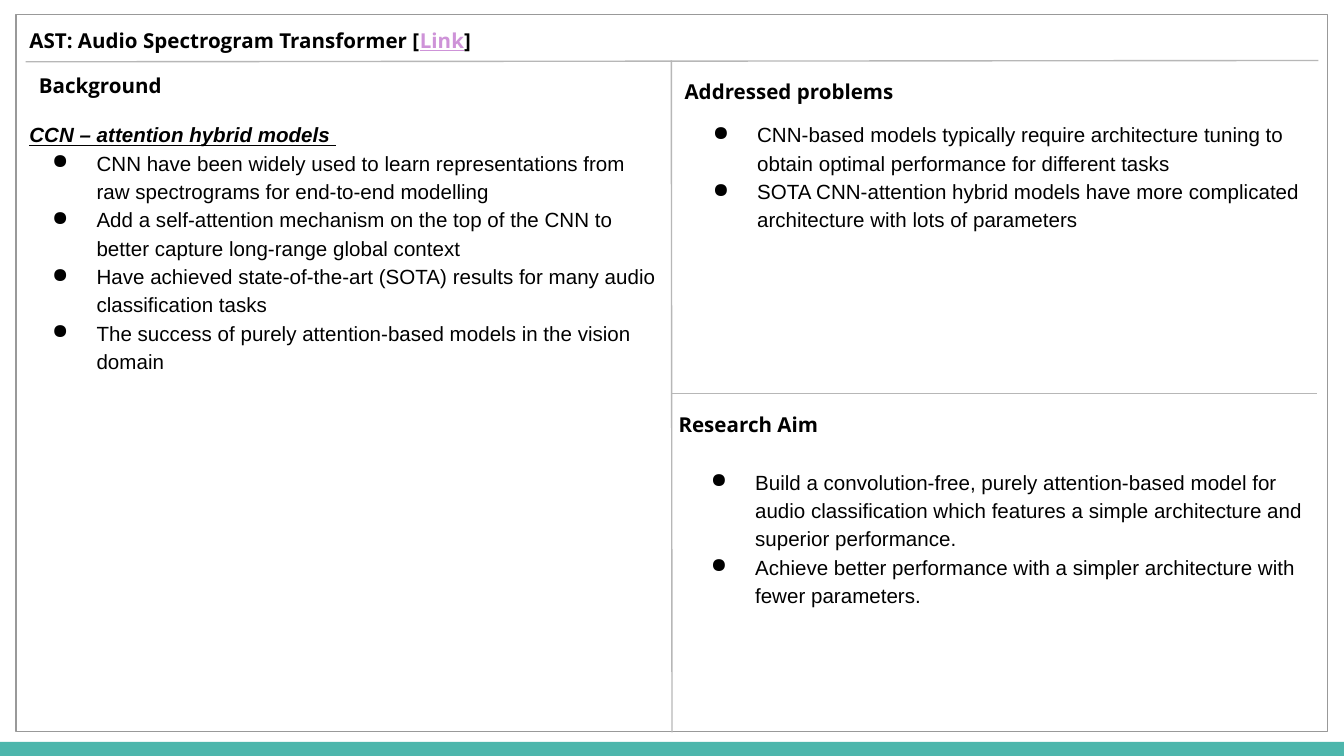
"""Build a one-page paper summary: background, addressed problems and research aim."""
from typing import NamedTuple

from lxml import etree
from pptx import Presentation, util as u
from pptx.dml.color import RGBColor
from pptx.enum import shapes, text
from pptx.oxml.ns import qn

WIDTH = u.Inches(10)
HEIGHT = WIDTH * 9 // 16
COLUMNS = 100
CELL = WIDTH / COLUMNS
ROWS = HEIGHT / CELL
MIDDLE = 49.95
HEADING_SIZE = (48.1, 2.7)
BODY_WIDTH = 49.2
TEXT_SIZE = u.Pt(11)
BLACK, LINK, TEAL, FRAME, RULE = "000000", "CE93D8", "4DB6AC", "999999", "B7B7B7"


class Area(NamedTuple):
    left: float
    top: float
    width: float
    height: float


class Rule(NamedTuple):
    start: tuple[float, float]
    end: tuple[float, float]


class Heading(NamedTuple):
    area: Area
    words: str
    link: str = ""
    tail: str = ""


class Body(NamedTuple):
    area: Area
    bullets: list[str]
    lead: str = ""


RULES = [
    Rule((1.9, 4.6), (98.1, 4.5)),
    Rule((MIDDLE, 4.5), (50, 54.5)),
    Rule((MIDDLE, 29.3), (98, 29.3)),
]

HEADINGS = [
    Heading(Area(1.2, 1.15, 79.1, 2.7), "AST: Audio Spectrogram Transformer [", "Link", "]"),
    Heading(Area(1.9, 4.5, *HEADING_SIZE), "Background"),
    Heading(Area(MIDDLE, 4.95, *HEADING_SIZE), "Addressed problems"),
    Heading(Area(49.5, 29.7, *HEADING_SIZE), "Research Aim"),
]

BODIES = [
    Body(Area(1.2, 7.83, BODY_WIDTH, 46.5), [
        "CNN have been widely used to learn representations from raw spectrograms "
        "for end-to-end modelling",
        "Add a self-attention mechanism on the top of the CNN to better capture "
        "long-range global context",
        "Have achieved state-of-the-art (SOTA) results for many audio classification tasks",
        "The success of purely attention-based models in the vision domain",
    ], lead="CCN – attention hybrid models "),
    Body(Area(50.35, 7.83, BODY_WIDTH, 12.4), [
        "CNN-based models typically require architecture tuning to obtain optimal "
        "performance for different tasks",
        "SOTA CNN-attention hybrid models have more complicated architecture with "
        "lots of parameters",
    ]),
    Body(Area(50.2, 33.67, BODY_WIDTH, 19.5), [
        "Build a convolution-free, purely attention-based model for audio classification "
        "which features a simple architecture and superior performance.",
        "Achieve better performance with a simpler architecture with fewer parameters.",
    ]),
]


def grid(*cells: float) -> list[int]:
    """Turn grid cells into slide lengths."""
    return [round(cell * CELL) for cell in cells]


def colour(value: str) -> RGBColor:
    """Turn a hex string into a colour."""
    return RGBColor.from_string(value)


def add_rectangle(page, area: Area, fill: str = "", line: str = "") -> None:
    """Draw a rectangle with an optional fill and outline."""
    box = page.shapes.add_shape(shapes.MSO_SHAPE.RECTANGLE, *grid(*area))
    box.shadow.inherit = False
    if fill:
        box.fill.solid()
        box.fill.fore_color.rgb = colour(fill)
    else:
        box.fill.background()
    if line:
        box.line.color.rgb = colour(line)
        box.line.width = u.Pt(0.75)
    else:
        box.line.fill.background()


def add_rule(page, rule: Rule) -> None:
    """Draw a thin dividing line."""
    line = page.shapes.add_connector(
        shapes.MSO_CONNECTOR.STRAIGHT, *grid(*rule.start, *rule.end))
    line.line.color.rgb = colour(RULE)
    line.line.width = u.Pt(0.75)
    etree.SubElement(line._element.spPr, qn("a:effectLst"))


def add_frame(page, area: Area):
    """Add an empty text box and return its wrapped text frame."""
    frame = page.shapes.add_textbox(*grid(*area)).text_frame
    frame.word_wrap = True
    frame.vertical_anchor = text.MSO_ANCHOR.TOP
    frame.margin_left = frame.margin_top = u.Inches(0.1)
    frame.margin_right = frame.margin_bottom = u.Inches(0.1)
    return frame


def set_font(para, name: str, bold: bool = False) -> None:
    """Set the shared font of a paragraph."""
    para.font.name = name
    para.font.size = TEXT_SIZE
    para.font.bold = bold
    para.font.color.rgb = colour(BLACK)


def add_heading(page, heading: Heading) -> None:
    """Write a bold heading with an optional underlined link word."""
    para = add_frame(page, heading.area).paragraphs[0]
    set_font(para, "Open Sans", bold=True)
    for words in filter(None, heading[1:]):
        span = para.add_run()
        span.text = words
        if words == heading.link:
            span.font.color.rgb = colour(LINK)
            span.font.underline = True


def add_bullet(para) -> None:
    """Give a paragraph a round black bullet, sized as its text, and a hanging indent."""
    para.runs[0].font.size = TEXT_SIZE
    props = para._p.get_or_add_pPr()
    props.set("marL", str(u.Inches(0.5)))
    props.set("indent", str(u.Inches(-0.33)))
    bullet_colour = etree.Element(qn("a:buClr"))
    etree.SubElement(bullet_colour, qn("a:srgbClr"), val=BLACK)
    bullet = etree.Element(qn("a:buChar"), char="●")
    props.find(qn("a:defRPr")).addprevious(bullet_colour)
    bullet_colour.addnext(bullet)


def add_body(page, body: Body) -> None:
    """Write a bulleted list under an optional lead line."""
    frame = add_frame(page, body.area)
    lines = [body.lead, *body.bullets] if body.lead else body.bullets
    for index, words in enumerate(lines):
        para = frame.add_paragraph() if index else frame.paragraphs[0]
        para.text = words
        para.line_spacing = 1.15
        is_lead = words == body.lead
        set_font(para, "Arial", bold=is_lead)
        if is_lead:
            para.font.italic = para.font.underline = True
        else:
            add_bullet(para)


def main() -> None:
    """Build and save the deck."""
    deck = Presentation()
    deck.slide_width, deck.slide_height = WIDTH, HEIGHT
    page = deck.slides.add_slide(deck.slide_layouts[6])
    add_rectangle(page, Area(0, ROWS - 1.05, COLUMNS, 1.05), fill=TEAL)
    add_rectangle(page, Area(1.2, 1.1, 97.6, 53.35), line=FRAME)
    for rule in RULES:
        add_rule(page, rule)
    for heading in HEADINGS:
        add_heading(page, heading)
    for body in BODIES:
        add_body(page, body)
    deck.save("out.pptx")


main()
